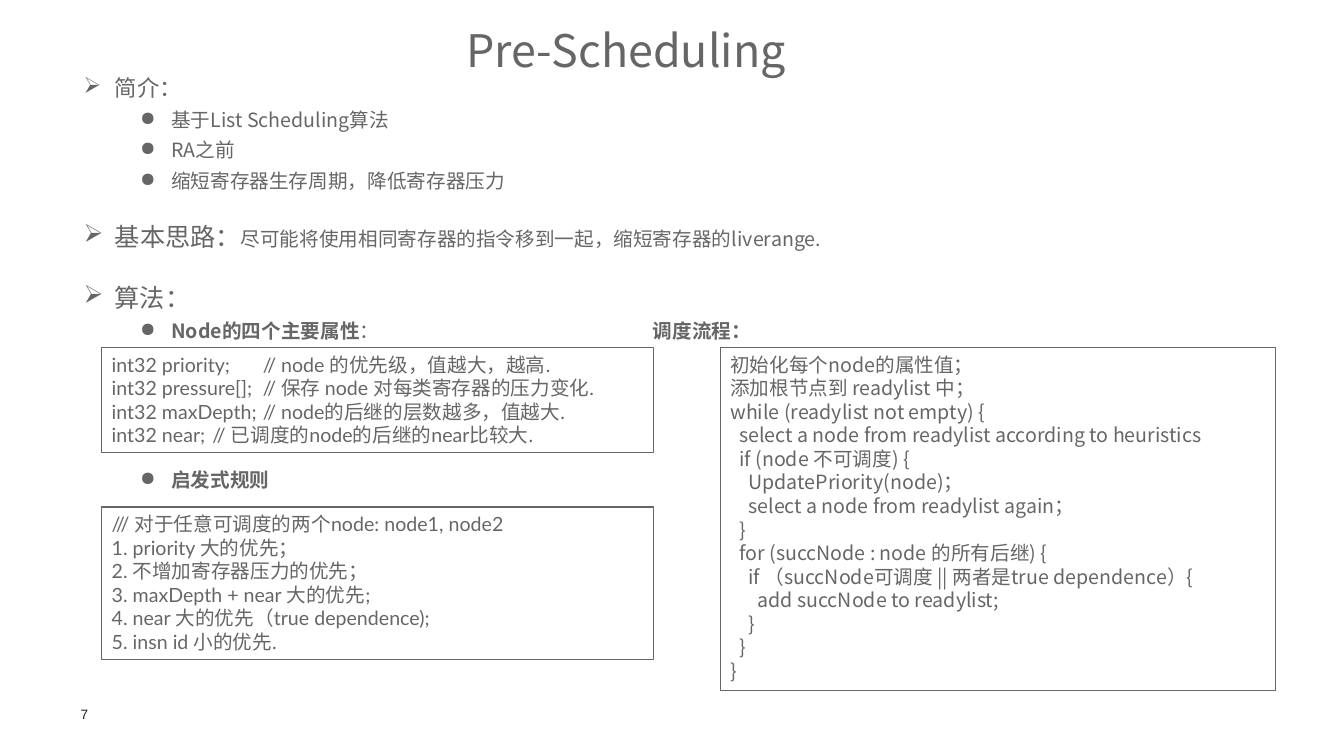
from lxml import etree
from pptx import Presentation
from pptx.dml.color import RGBColor
from pptx.enum.shapes import MSO_SHAPE as SHAPE
from pptx.enum.text import MSO_ANCHOR as ANCHOR, PP_ALIGN as ALIGN
from pptx.oxml.ns import qn
from pptx.util import Inches, Pt

GRAY = RGBColor(0x66, 0x66, 0x66)
BLACK = RGBColor(0x1D, 0x1D, 0x1B)
NOTO, LATO, ARIAL = "Noto Sans CJK SC", "Lato", "Arial"

CODE_STEP = 0.09
BODY_LEFT, BODY_WIDTH = 0.81, 12.02
LEFT_BOX, LEFT_WIDTH = 1.01, 5.48

# Each attribute: declaration, comment, position of the comment
ATTRIBUTES = [
    ("int32 priority;", "// node 的优先级，值越大，越高.", 1.33),
    ("int32 pressure[];", "// 保存 node 对每类寄存器的压力变化.", 1.46),
    ("int32 maxDepth;", "// node的后继的层数越多，值越大.", 1.6),
    ("int32 near;", "// 已调度的node的后继的near比较大.", 1.29),
]
RULES = [
    "/// 对于任意可调度的两个node: node1, node2",
    "1. priority 大的优先；",
    "2. 不增加寄存器压力的优先；",
    "3. maxDepth + near 大的优先;",
    "4. near 大的优先（true dependence);",
    "5. insn id 小的优先.",
]
# Each step: nesting level, code
STEPS = [
    (0, "初始化每个node的属性值；"),
    (0, "添加根节点到 readylist 中；"),
    (0, "while (readylist not empty) {"),
    (1, "select a node from readylist according to heuristics"),
    (1, "if (node 不可调度) {"),
    (2, "UpdatePriority(node)；"),
    (2, "select a node from readylist again；"),
    (1, "}"),
    (1, "for (succNode : node 的所有后继) {"),
    (2, "if （succNode可调度 || 两者是true dependence）{"),
    (3, "add succNode to readylist;"),
    (2, "}"),
    (1, "}"),
    (0, "}"),
]


def add_run(p, text, size=14, font=NOTO, color=GRAY, bold=False):
    r = p.add_run()
    r.text = text
    r.font.size, r.font.name, r.font.bold = Pt(size), font, bold
    r.font.color.rgb = color
    ea = etree.SubElement(r._r.get_or_add_rPr(), qn("a:ea"))
    ea.set("typeface", NOTO)


def add_paragraph(tf, text, align=ALIGN.LEFT, indent=0, hanging=0, bullet=None,
                  tab=None, before=0, spacing=None, **font):
    """Fill the frame's empty first paragraph, or append a new one."""
    p = tf.paragraphs[0]
    if p.runs:
        p = tf.add_paragraph()
    p.alignment, p.space_before = align, Pt(before)
    if spacing:
        p.line_spacing = spacing
    pPr = p._p.get_or_add_pPr()
    pPr.set("marL", str(Inches(indent)))
    pPr.set("indent", str(Inches(-hanging)))
    if bullet:
        etree.SubElement(pPr, qn("a:buChar")).set("char", bullet)
    if tab:
        tabs = etree.SubElement(pPr, qn("a:tabLst"))
        stop = etree.SubElement(tabs, qn("a:tab"))
        stop.set("pos", str(Inches(tab)))
        stop.set("algn", "l")
    add_run(p, text, **font)
    return p


def add_heading(tf, text, size=18):
    return add_paragraph(tf, text, indent=0.33, hanging=0.31, bullet="➢", size=size)


def add_point(tf, text, before=6.5, **font):
    return add_paragraph(tf, text, indent=0.89, hanging=0.31, bullet="●",
                         before=before, spacing=0.9, **font)


def add_text_box(slide, left, top, width, height):
    tf = slide.shapes.add_textbox(*map(Inches, (left, top, width, height))).text_frame
    tf.word_wrap = True
    tf.margin_left = tf.margin_right = tf.margin_top = tf.margin_bottom = 0
    return tf


def add_code_box(slide, left, top, width, height):
    sp = slide.shapes.add_shape(SHAPE.RECTANGLE,
                                *map(Inches, (left, top, width, height)))
    sp.shadow.inherit = False
    sp.fill.background()
    sp.line.color.rgb = GRAY
    sp.line.width = Pt(0.75)
    tf = sp.text_frame
    tf.word_wrap = True
    tf.vertical_anchor = ANCHOR.TOP
    return tf


def add_outline(slide):
    intro = add_text_box(slide, BODY_LEFT, 0.74, BODY_WIDTH, 1.25)
    add_heading(intro, "简介：", size=16)
    for text in ("基于List Scheduling算法", "RA之前", "缩短寄存器生存周期，降低寄存器压力"):
        add_point(intro, text)

    idea = add_text_box(slide, BODY_LEFT, 2.2, BODY_WIDTH, 0.3)
    p = add_heading(idea, "基本思路：")
    add_run(p, "尽可能将使用相同寄存器的指令移到一起，缩短寄存器的liverange.")

    algorithm = add_text_box(slide, BODY_LEFT, 2.8, 5.5, 0.6)
    add_heading(algorithm, "算法：")
    p = add_point(algorithm, "Node的四个主要属性", bold=True)
    add_run(p, "：")

    flow = add_text_box(slide, 6.48, 3.19, 2, 0.22)
    add_paragraph(flow, "调度流程：", spacing=0.9, bold=True)
    heuristics = add_text_box(slide, BODY_LEFT, 4.67, 5.5, 0.22)
    add_point(heuristics, "启发式规则", before=0, bold=True)


def add_code(slide):
    flow = add_code_box(slide, 7.15, 3.45, 5.51, 3.4)
    for level, text in STEPS:
        add_paragraph(flow, text, indent=level * CODE_STEP)

    attributes = add_code_box(slide, LEFT_BOX, 3.45, LEFT_WIDTH, 1.04)
    for declaration, comment, tab in ATTRIBUTES:
        add_paragraph(attributes, f"{declaration}\t{comment}", tab=tab, font=LATO)

    rules = add_code_box(slide, LEFT_BOX, 5.03, LEFT_WIDTH, 1.51)
    for text in RULES:
        add_paragraph(rules, text, font=LATO)


def main():
    prs = Presentation()
    prs.slide_width, prs.slide_height = Inches(13.34), Inches(7.5)
    slide = prs.slides.add_slide(prs.slide_layouts[6])

    number = add_text_box(slide, 0.8, 7, 0.55, 0.16)
    add_paragraph(number, "7", size=9.7, font=ARIAL, color=BLACK)
    add_outline(slide)
    title = add_text_box(slide, 0.34, 0.28, 11.75, 0.72)
    add_paragraph(title, "Pre-Scheduling", align=ALIGN.CENTER,
                  spacing=Pt(34.3), size=32)
    add_code(slide)
    prs.save("out.pptx")


if __name__ == "__main__":
    main()
